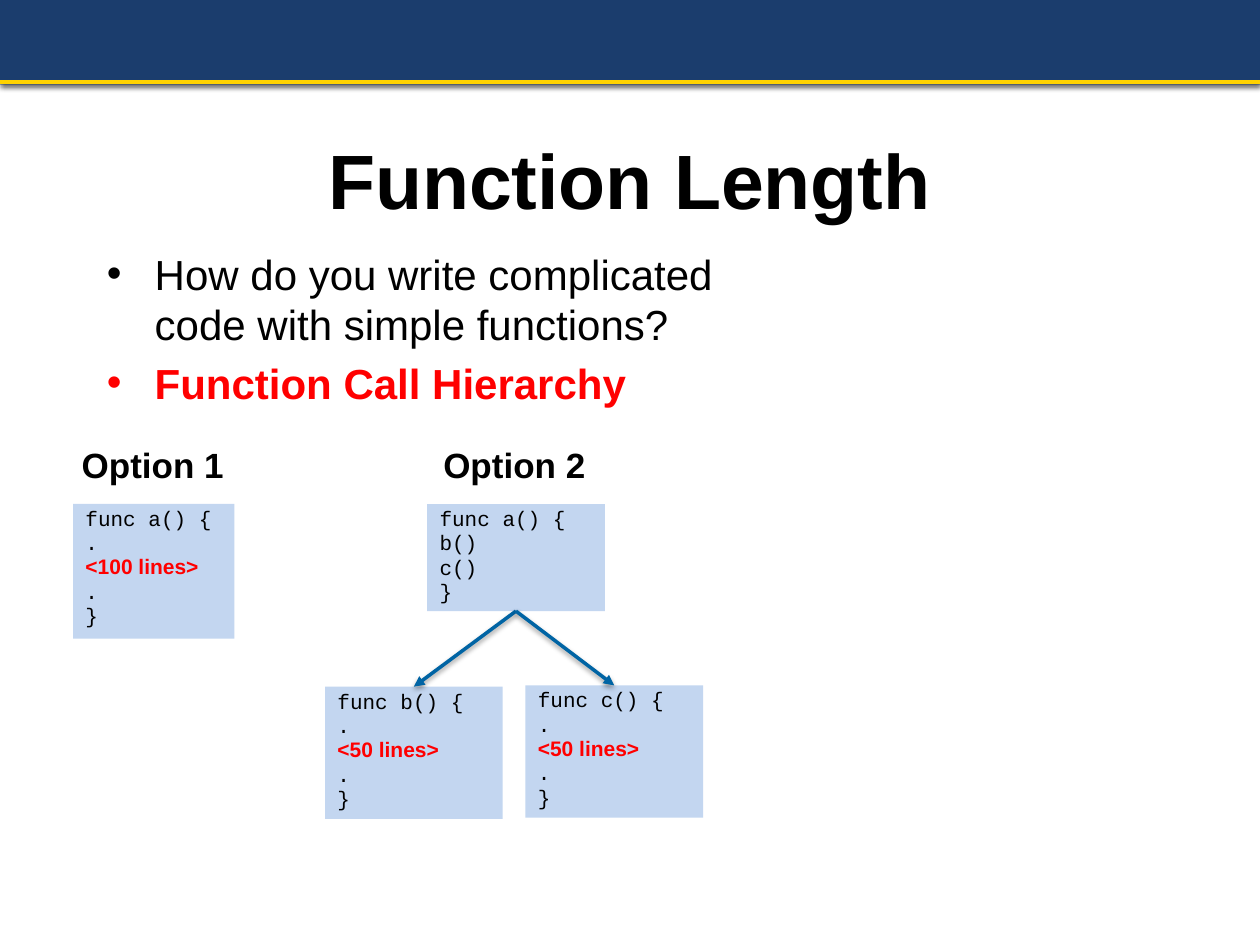
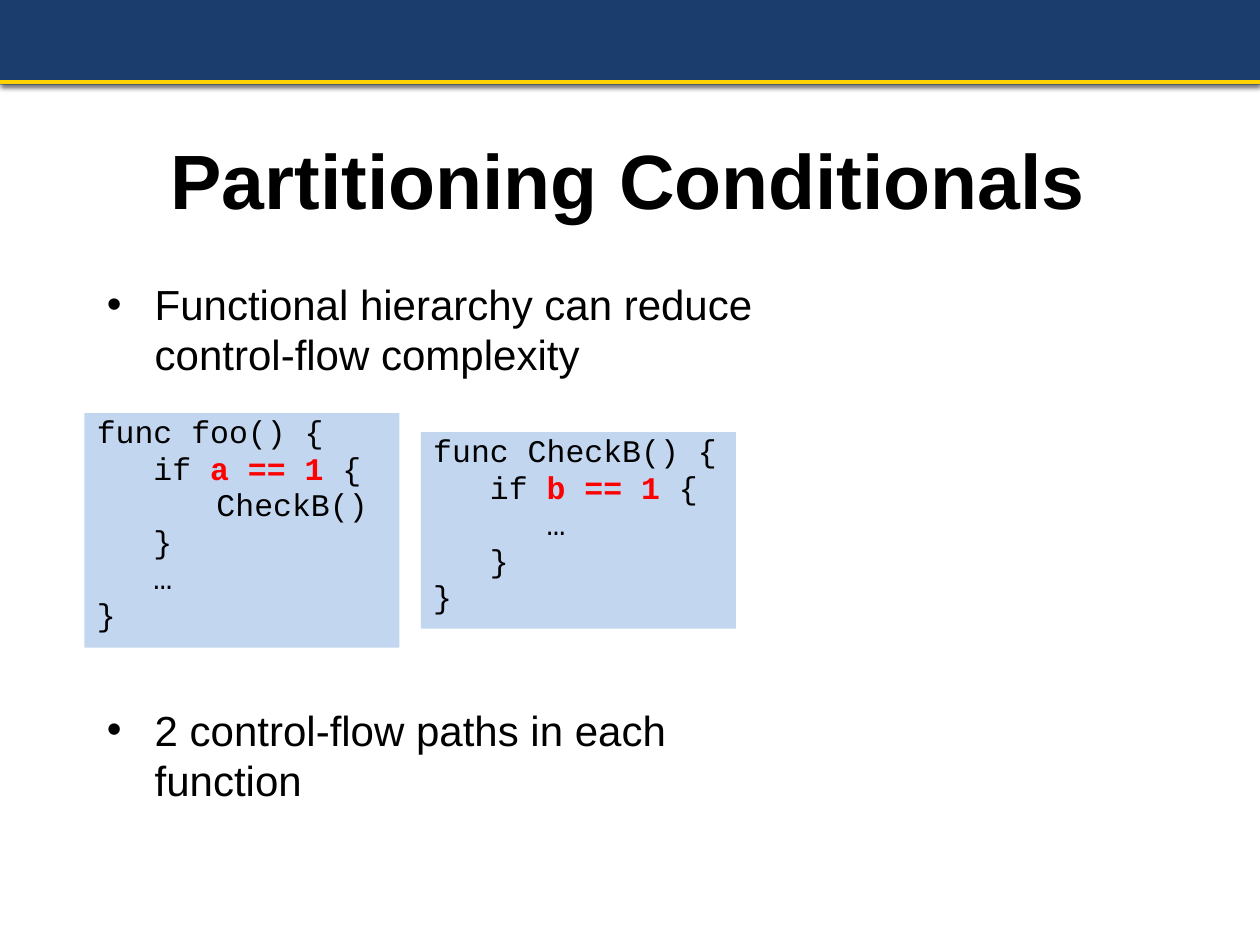
import pptx
import pptx.util
import pptx.dml.color
import pptx.enum.shapes
import pptx.enum.text
import pptx.oxml.ns
from lxml import etree

Inches, Pt = pptx.util.Inches, pptx.util.Pt
qn = pptx.oxml.ns.qn
ALIGN = pptx.enum.text.PP_ALIGN
RECT = pptx.enum.shapes.MSO_SHAPE.RECTANGLE
STRAIGHT = pptx.enum.shapes.MSO_CONNECTOR.STRAIGHT
COLORS = {"band": "1B3D6D", "gold": "FFD200", "code": "C3D6F0", "arrow": "0064A4",
          "text": "000000", "accent": "FF0000"}
SANS, MONO = "Arial", "Courier New"
SLIDE_W, SLIDE_H = 10, 7.5
BODY_X, BODY_W = 0.75, 5.5
CODE_INDENT = 0.45


def rgb(name):
    return pptx.dml.color.RGBColor.from_string(COLORS[name])


def add_run(p, text, size, font=SANS, color="text", bold=False):
    r = p.add_run()
    r.text = text
    r.font.size = Pt(size)
    r.font.name = font
    r.font.bold = bold
    r.font.color.rgb = rgb(color)


def space_before(p, percent=20):
    spacing = etree.SubElement(p._p.get_or_add_pPr(), qn("a:spcBef"))
    etree.SubElement(spacing, qn("a:spcPct")).set("val", str(percent * 1000))


def indent(p, left, first=0):
    pPr = p._p.get_or_add_pPr()
    pPr.set("marL", str(Inches(left)))
    pPr.set("indent", str(Inches(first)))


def paragraphs(tf, count):
    return [tf.paragraphs[0]] + [tf.add_paragraph() for _ in range(count - 1)]


def set_shadow(shape, alpha=None, blur=3.1, distance=1.8):
    effects = etree.SubElement(shape._element.spPr, qn("a:effectLst"))
    if alpha:
        outer = etree.SubElement(effects, qn("a:outerShdw"), blurRad=str(Pt(blur)),
                                 dist=str(Pt(distance)), dir="5400000", rotWithShape="0")
        color = etree.SubElement(outer, qn("a:srgbClr"), val=COLORS["text"])
        etree.SubElement(color, qn("a:alpha"), val=str(alpha * 1000))


def add_rect(shapes, x, y, w, h, fill):
    sp = shapes.add_shape(RECT, Inches(x), Inches(y), Inches(w), Inches(h))
    sp.fill.solid()
    sp.fill.fore_color.rgb = rgb(fill)
    sp.line.fill.background()
    return sp


def add_line(shapes, start, end, color, width):
    line = shapes.add_connector(STRAIGHT, *map(Inches, start + end))
    line.line.color.rgb = rgb(color)
    line.line.width = Pt(width)
    return line


def add_arrow(shapes, start, end):
    arrow = add_line(shapes, start, end, "arrow", 2)
    etree.SubElement(arrow.line._get_or_add_ln(), qn("a:tailEnd"), type="triangle")
    set_shadow(arrow, 38, distance=1.6)


def add_text_box(s, x, y, w, h, wrap=True):
    tf = s.shapes.add_textbox(Inches(x), Inches(y), Inches(w), Inches(h)).text_frame
    tf.word_wrap = wrap
    tf.auto_size = pptx.enum.text.MSO_AUTO_SIZE.SHAPE_TO_FIT_TEXT
    return tf


def add_band(s):
    set_shadow(add_rect(s.shapes, 0, 0, SLIDE_W, 0.67, "band"), 58)
    set_shadow(add_line(s.shapes, (0, 0.65), (SLIDE_W, 0.65), "gold", 2.25))


def add_title(s, text, x, w):
    tf = add_text_box(s, x, 1, w, 0.84, wrap=False)
    tf.vertical_anchor = pptx.enum.text.MSO_ANCHOR.MIDDLE
    tf.paragraphs[0].alignment = ALIGN.CENTER
    add_run(tf.paragraphs[0], text, 44, bold=True)


def add_bullets(s, y, h, items):
    tf = add_text_box(s, BODY_X, y, BODY_W, h)
    for p, (text, strong) in zip(paragraphs(tf, len(items)), items):
        indent(p, 0.38, -0.38)
        space_before(p)
        pPr = p._p.get_or_add_pPr()
        etree.SubElement(pPr, qn("a:buFont"), typeface=SANS)
        etree.SubElement(pPr, qn("a:buChar"), char="•")
        add_run(p, text, 24, color="accent" if strong else "text", bold=strong)


def add_code(shapes, x, y, w, h, size, lines, accent_font=MONO):
    sp = add_rect(shapes, x, y, w, h, "code")
    sp.shadow.inherit = False
    tf = sp.text_frame
    tf.word_wrap = True
    tf.auto_size = pptx.enum.text.MSO_AUTO_SIZE.SHAPE_TO_FIT_TEXT
    tf.vertical_anchor = pptx.enum.text.MSO_ANCHOR.TOP
    for p, (left, *parts) in zip(paragraphs(tf, len(lines)), lines):
        p.alignment = ALIGN.LEFT
        p.line_spacing = 0.8
        space_before(p)
        indent(p, left)
        for i, text in enumerate(parts):
            if text and i % 2:
                add_run(p, text, size, accent_font, "accent", True)
            elif text:
                add_run(p, text, size, MONO)


def add_function(shapes, x, y, w, h, name, length):
    lines = [(0, f"func {name}() {{"), (0, "."), (0, "", f"<{length} lines>"), (0, "."), (0, "}")]
    add_code(shapes, x, y, w, h, 12, lines, SANS)


def add_option(s, x, y, number):
    tf = add_text_box(s, x, y, 1.34, 0.44, wrap=False)
    add_run(tf.paragraphs[0], f"Option {number}", 20, bold=True)


def add_call_tree(s, x, y):
    shapes = s.shapes.add_group_shape().shapes
    w, caller_h = 1.41, 0.85
    caller_x = x + 0.81
    caller = [(0, "func a() {"), (0, "b()"), (0, "c()"), (0, "}")]
    add_code(shapes, caller_x, y, w, caller_h, 12, caller)
    callees = [("b", x, y + 1.45), ("c", x + 1.59, y + 1.44)]
    for name, left, top in callees:
        add_function(shapes, left, top, w, 1.05, name, 50)
    for name, left, top in callees:
        add_arrow(shapes, (caller_x + w / 2, y + caller_h), (left + w / 2, top))


def new_slide(prs, title, x, w):
    s = prs.slides.add_slide(prs.slide_layouts[6])
    add_band(s)
    add_title(s, title, x, w)
    return s


def function_length(prs):
    s = new_slide(prs, "Function Length", 2.48, 5.04)
    add_bullets(s, 1.92, 1.39, [
        ("How do you write complicated code with simple functions?", False),
        ("Function Call Hierarchy", True)])
    add_function(s.shapes, 0.58, 4, 1.28, 1.07, "a", 100)
    add_call_tree(s, 2.58, 4)
    add_option(s, 0.55, 3.47, 1)
    add_option(s, 3.42, 3.47, 2)


def partitioning_conditionals(prs):
    s = new_slide(prs, "Partitioning Conditionals", 1.22, 7.54)
    add_bullets(s, 2.16, 0.91, [("Functional hierarchy can reduce control-flow complexity", False)])
    add_code(s.shapes, 0.67, 3.28, 2.5, 1.86, 18, [
        (0, "func foo() {"), (CODE_INDENT, "if ", "a == 1 ", "{"), (0.95, "CheckB()"),
        (CODE_INDENT, "}"), (CODE_INDENT, "…"), (0, "}")])
    add_bullets(s, 5.54, 0.91, [("2 control-flow paths in each function", False)])
    add_code(s.shapes, 3.34, 3.43, 2.5, 1.56, 18, [
        (0, "func CheckB() {"), (CODE_INDENT, "if ", "b == 1", " {"),
        (2 * CODE_INDENT, "…"), (CODE_INDENT, "}"), (0, "}")])


prs = pptx.Presentation()
prs.slide_width, prs.slide_height = Inches(SLIDE_W), Inches(SLIDE_H)
function_length(prs)
partitioning_conditionals(prs)
prs.save("out.pptx")
